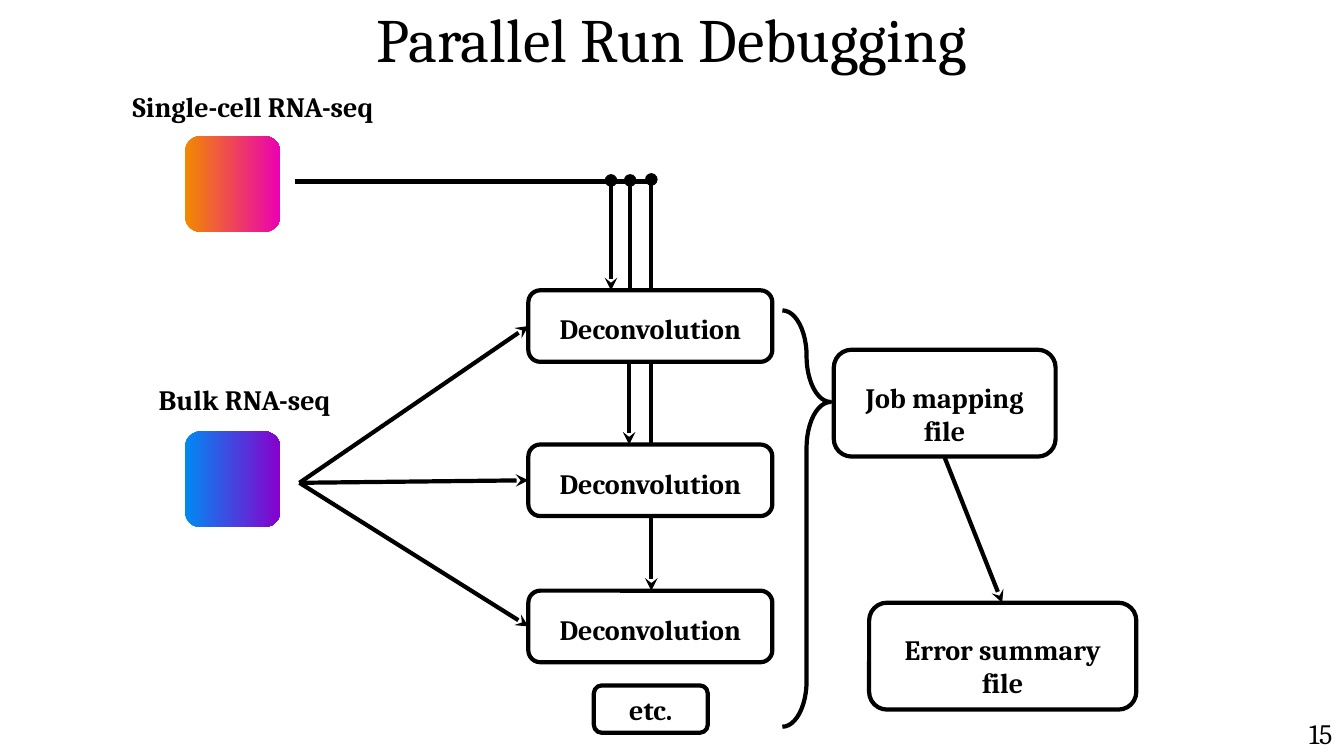
"""Build the slide on debugging parallel deconvolution runs."""
from lxml.etree import SubElement
from pptx import Presentation
from pptx.dml.color import RGBColor as Rgb
from pptx.enum.shapes import MSO_CONNECTOR as Line, MSO_SHAPE as Form
from pptx.enum.text import MSO_ANCHOR as Anchor, MSO_AUTO_SIZE as Fit, PP_ALIGN as Align
from pptx.oxml.ns import qn
from pptx.util import Inches, Pt

INK = {"black": "000000", "white": "FFFFFF", "orange": "F28A00",
       "pink": "EA00B2", "blue": "008AF2", "violet": "8800CC"}
UNIT = Inches(0.1)


def grid(*cells):
    return [int(cell * UNIT) for cell in cells]


def write(frame, text, size=20, bold=True):
    frame.text = text
    frame.word_wrap = True
    frame.auto_size = Fit.NONE
    frame.vertical_anchor = Anchor.TOP
    for para in frame.paragraphs:
        para.alignment = Align.CENTER
        para.font.name = "Cambria"
        para.font.size = Pt(size)
        para.font.bold = bold
        para.font.color.rgb = Rgb.from_string(INK["black"])


deck = Presentation()
deck.slide_width, deck.slide_height = grid(133.3, 75)
slide = deck.slides.add_slide(deck.slide_layouts[5])
shapes = slide.shapes

title = shapes.title
title.left, title.top, title.width, title.height = grid(19.7, -0.4, 93.9, 8.4)
write(title.text_frame, "Parallel Run Debugging", 44, False)

for top, pair in [(13.5, ("orange", "pink")), (42.8, ("blue", "violet"))]:
    tile = shapes.add_shape(Form.ROUNDED_RECTANGLE, *grid(18.3, top, 9.5, 9.5))
    tile.shadow.inherit = False
    tile.line.fill.background()
    tile.fill.gradient()
    tile.fill.gradient_angle = 0
    for spot, (stop, hue) in enumerate(zip(tile.fill.gradient_stops, pair)):
        stop.position = spot
        stop.color.rgb = Rgb.from_string(INK[hue])

labels = [("Single-cell RNA-seq", True, (10.3, 8.4, 29.6, 4.4)),
          ("Bulk RNA-seq", True, (11.3, 37.5, 25.9, 4.4)),
          ("15", False, (128.6, 70.6, 4.8, 4.4))]
for text, bold, area in labels:
    write(shapes.add_textbox(*grid(*area)).text_frame, text, 20, bold)

tops = [28.8, 44.1, 58.6]
left, width, height = 52.4, 24.2, 7.1
boxes = [("Deconvolution", 1.8, (left, top, width, height)) for top in tops]
boxes += [("etc.", 0.5, (58.9, 68, 11.3, 4.7)),
          ("Job mapping\nfile", 2.5, (82.7, 34.7, 22, 10.6)),
          ("Error summary file", 2.4, (86.2, 59.8, 26.5, 10.6))]
for text, pad, area in boxes:
    box = shapes.add_shape(Form.ROUNDED_RECTANGLE, *grid(*area))
    box.shadow.inherit = False
    box.fill.solid()
    box.fill.fore_color.rgb = Rgb.from_string(INK["white"])
    box.line.color.rgb = Rgb.from_string(INK["black"])
    box.line.width = Pt(3)
    frame = box.text_frame
    write(frame, text)
    frame.margin_left, frame.margin_right, frame.margin_top = grid(1.9, 1.9, pad)

ends = [top + height for top in tops]
links = [((29.3, 18, 64.6, 18), None, None),
         ((60.6, 17.9, 60.6, tops[0]), "oval", "stealth"),
         ((62.5, 17.9, 62.5, tops[0]), "oval", None),
         ((62.4, ends[0], 62.4, tops[1]), None, "stealth"),
         ((64.6, 17.8, 64.6, tops[0]), "oval", None),
         ((64.6, ends[0], 64.6, tops[1]), None, None),
         ((64.6, ends[1], 64.6, tops[2]), None, "stealth"),
         ((93.7, 45.4, 99.4, 59.8), None, "stealth")]
links += [((29.7, 47.9, left, top + height / 2), None, "stealth") for top in tops]
for points, start, end in links:
    link = shapes.add_connector(Line.STRAIGHT, *grid(*points))
    link.line.color.rgb = Rgb.from_string(INK["black"])
    link.line.width = Pt(3)
    for tag, kind in [("a:headEnd", start), ("a:tailEnd", end)]:
        if kind:
            SubElement(link.line._get_or_add_ln(), qn(tag), type=kind)
    SubElement(link._element.spPr, qn("a:effectLst"))

brace = shapes.add_shape(Form.RIGHT_BRACE, *grid(77.6, 30.8, 4.8, 41.3))
brace.shadow.inherit = False
brace.fill.background()
brace.line.color.rgb = Rgb.from_string(INK["black"])
brace.line.width = Pt(3)
brace.adjustments[0] = 1.64
brace.adjustments[1] = 0.22

deck.save("out.pptx")
